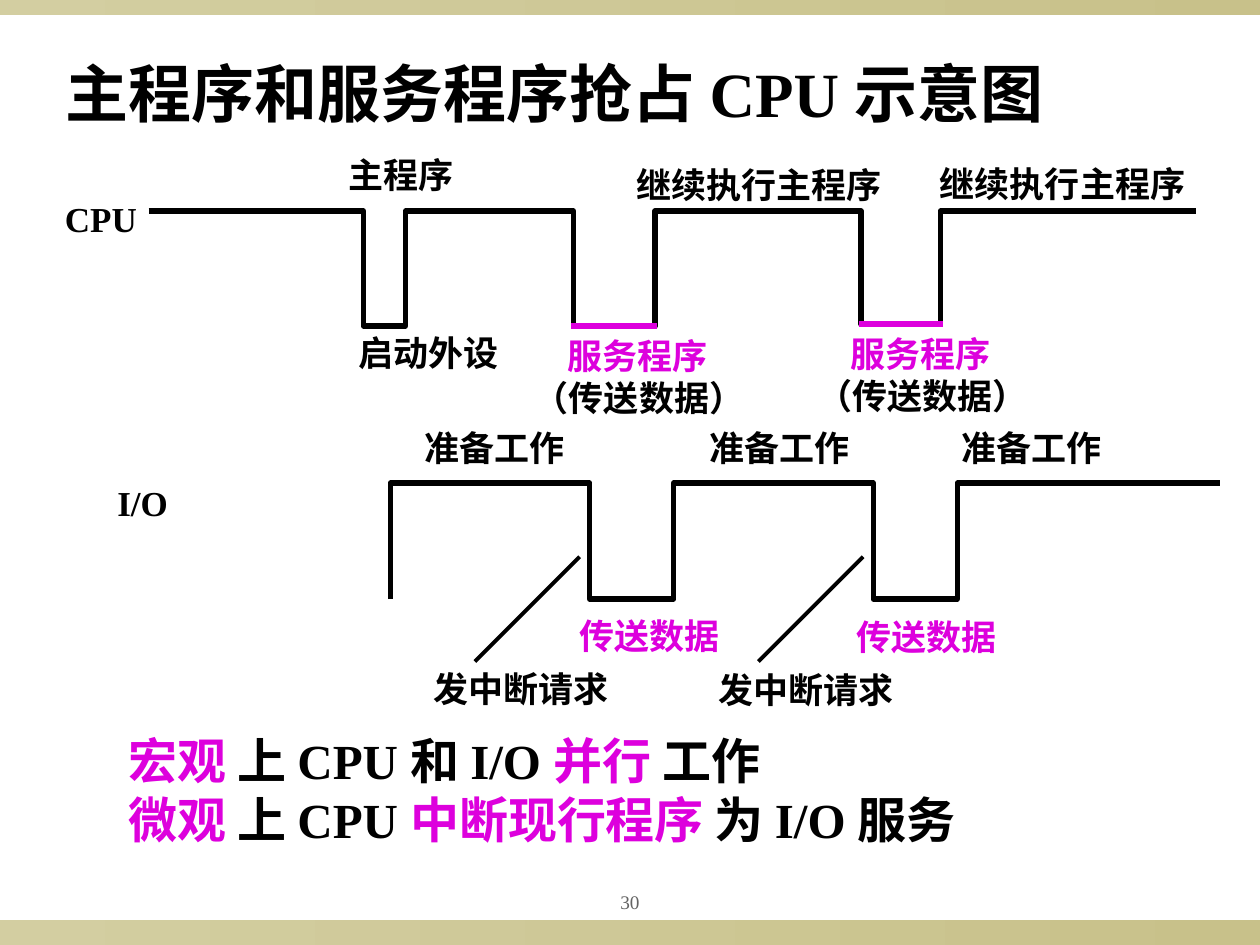
from lxml.etree import SubElement
from pptx import Presentation
from pptx.dml.color import RGBColor
from pptx.enum.shapes import MSO_CONNECTOR as CONN, MSO_SHAPE as SHAPE
from pptx.enum.text import MSO_ANCHOR as ANCHOR, MSO_AUTO_SIZE as AUTO, PP_ALIGN as ALIGN
from pptx.oxml.ns import qn
from pptx.util import Pt

COLORS = {"ink": "000000", "accent": "DD00DD", "page": "636363",
          "bar_start": "D3CEA1", "bar_end": "C8C18A"}
FONT = "Times New Roman"
LABEL_SIZE = 20
INSET = 7.2
SLACK = 1


def color(name):
    """Return the named colour."""
    return RGBColor.from_string(COLORS[name])


def add_runs(p, runs, size, bold=True):
    """Add (text, colour name) runs to a paragraph."""
    for text, name in runs:
        r = p.add_run()
        r.text = text
        r.font.name, r.font.size, r.font.bold = FONT, Pt(size), bold
        r.font.color.rgb = color(name)


def place(sp, box):
    """Move a shape to a box given in points."""
    sp.left, sp.top, sp.width, sp.height = (Pt(v) for v in box)


def add_label(shapes, left, top, text, name="ink", width=None):
    """Add a one-line label, as wide as its characters by default."""
    width = width or LABEL_SIZE * len(text) + 2 * INSET + SLACK
    sp = shapes.add_textbox(Pt(left), Pt(top), Pt(width), Pt(31.5))
    tf = sp.text_frame
    tf.word_wrap = False
    tf.auto_size = AUTO.SHAPE_TO_FIT_TEXT
    add_runs(tf.paragraphs[0], [(text, name)], LABEL_SIZE)
    return sp


def add_service_label(shapes, left, top):
    """Add the two-line label of a service routine."""
    sp = add_label(shapes, left, top, "服务程序", "accent", 134.6 + SLACK)
    sp.height = Pt(55.4)
    tf = sp.text_frame
    tf.paragraphs[0]._p.get_or_add_pPr().set("marL", str(Pt(19)))
    add_runs(tf.add_paragraph(), [("（传送数据）", "ink")], LABEL_SIZE)


def add_wave(shapes, points):
    """Draw an open signal line through the points."""
    start, *rest = [(Pt(x), Pt(y)) for x, y in points]
    builder = shapes.build_freeform(*start)
    builder.add_line_segments(rest, close=False)
    sp = builder.convert_to_shape()
    sp.fill.background()
    sp.line.color.rgb = color("ink")
    sp.line.width = Pt(3)
    sp.shadow.inherit = False


def add_line(shapes, start, end, name, width):
    """Draw a straight line between two points."""
    line = shapes.add_connector(CONN.STRAIGHT, *(Pt(v) for v in (*start, *end)))
    line.line.color.rgb = color(name)
    line.line.width = Pt(width)
    SubElement(line._element.spPr, qn("a:effectLst"))


def add_bar(slide, top, height):
    """Draw a full-width gradient bar."""
    sp = slide.shapes.add_shape(SHAPE.RECTANGLE, 0, Pt(top), Pt(720), Pt(height))
    sp.shadow.inherit = False
    sp.line.fill.background()
    sp.fill.gradient()
    sp.fill.gradient_angle = 0
    for stop, name in zip(sp.fill.gradient_stops, ("bar_start", "bar_end")):
        stop.color.rgb = color(name)


def add_page_number(slide, box, number):
    """Add the centred page number."""
    sp = slide.shapes.add_textbox(*(Pt(v) for v in box))
    tf = sp.text_frame
    tf.word_wrap = True
    tf.vertical_anchor = ANCHOR.MIDDLE
    tf.margin_left = tf.margin_right = Pt(3.6)
    tf.paragraphs[0].alignment = ALIGN.CENTER
    add_runs(tf.paragraphs[0], [(number, "page")], 11, bold=False)


def fill_placeholder(sp, box, size, lines):
    """Place a placeholder and fill it with plain left-aligned lines."""
    place(sp, box)
    tf = sp.text_frame
    tf.auto_size = AUTO.NONE
    tf.word_wrap = True
    tf.vertical_anchor = ANCHOR.TOP
    for i, runs in enumerate(lines):
        p = tf.add_paragraph() if i else tf.paragraphs[0]
        pPr = p._p.get_or_add_pPr()
        pPr.set("marL", "0")
        pPr.set("indent", "0")
        SubElement(pPr, qn("a:buNone"))
        p.alignment = ALIGN.LEFT
        p.space_before = Pt(0)
        add_runs(p, runs, size)


def add_cpu_timeline(slide, left, top):
    """Draw the CPU signal with its labels."""
    shapes = slide.shapes.add_group_shape().shapes
    high = top + 36.6
    wells = [(left + a, left + b, top + low) for a, b, low in
             ((177.7, 201.7, 102.3), (297.7, 344.3, 102.3), (462, 507.4, 101.1))]
    points = [(left + 55, high)]
    for start, end, low in wells:
        points += [(start, high), (start, low), (end, low), (end, high)]
    add_wave(shapes, points + [(left + 653.4, high)])
    for x, y, text in ((162, 0, "主程序"), (326.4, 6, "继续执行主程序"),
                       (500, 5.3, "继续执行主程序"), (168, 101.8, "启动外设")):
        add_label(shapes, left + x, top + y, text)
    add_label(shapes, left, top + 25.4, "CPU", width=55.4)
    for (start, end, low), x in zip(wells[1:], (268, 430)):
        add_service_label(shapes, left + x, low + 1.2)
        add_line(shapes, (start - 1.2, low), (end + 1.2, low), "accent", 3)


def add_io_timeline(slide, left, top):
    """Draw the I/O signal with its labels."""
    shapes = slide.shapes.add_group_shape().shapes
    high, low, period = top + 36, top + 102.3, 162
    points = [(left + 163, low), (left + 163, high)]
    for cycle in range(2):
        start = left + 277 + cycle * period
        end = start + 48
        points += [(start, high), (start, low), (end, low), (end, high)]
        add_line(shapes, (start - 65.6, top + 138), (start - 5.8, top + 78.2), "ink", 2.25)
    add_wave(shapes, points + [(left + 637, high)])
    for x, y, text, name in (
            (175.4, 0, "准备工作", "ink"), (338.2, 0.2, "准备工作", "ink"),
            (482.2, 0.2, "准备工作", "ink"), (264, 107.8, "传送数据", "accent"),
            (422.4, 108.2, "传送数据", "accent"), (180.5, 138, "发中断请求", "ink"),
            (343.2, 138.2, "发中断请求", "ink")):
        add_label(shapes, left + x, top + y, text, name)
    add_label(shapes, left, top + 31.4, "I/O", width=43.2)


def build():
    """Build and save the slide."""
    prs = Presentation()
    prs.slide_width, prs.slide_height = Pt(720), Pt(540)
    slide = prs.slides.add_slide(prs.slide_layouts[1])
    add_bar(slide, 525.6, 14.4)
    add_bar(slide, 0, 8.6)
    add_page_number(slide, (324, 504, 72, 22.3), "30")
    fill_placeholder(slide.shapes.title, (30.2, 27.4, 585.4, 93.6), 36,
                     [[("主程序和服务程序抢占 CPU 示意图", "ink")]])
    add_io_timeline(slide, 60, 240)
    fill_placeholder(slide.placeholders[1], (66.2, 414, 577.4, 74.9), 28, [
        [("宏观 ", "accent"), ("上 CPU 和 I/O ", "ink"),
         ("并行 ", "accent"), ("工作", "ink")],
        [("微观 ", "accent"), ("上 CPU ", "ink"),
         ("中断现行程序 ", "accent"), ("为 I/O 服务", "ink")]])
    add_cpu_timeline(slide, 30, 84)
    prs.save("out.pptx")


if __name__ == "__main__":
    build()
